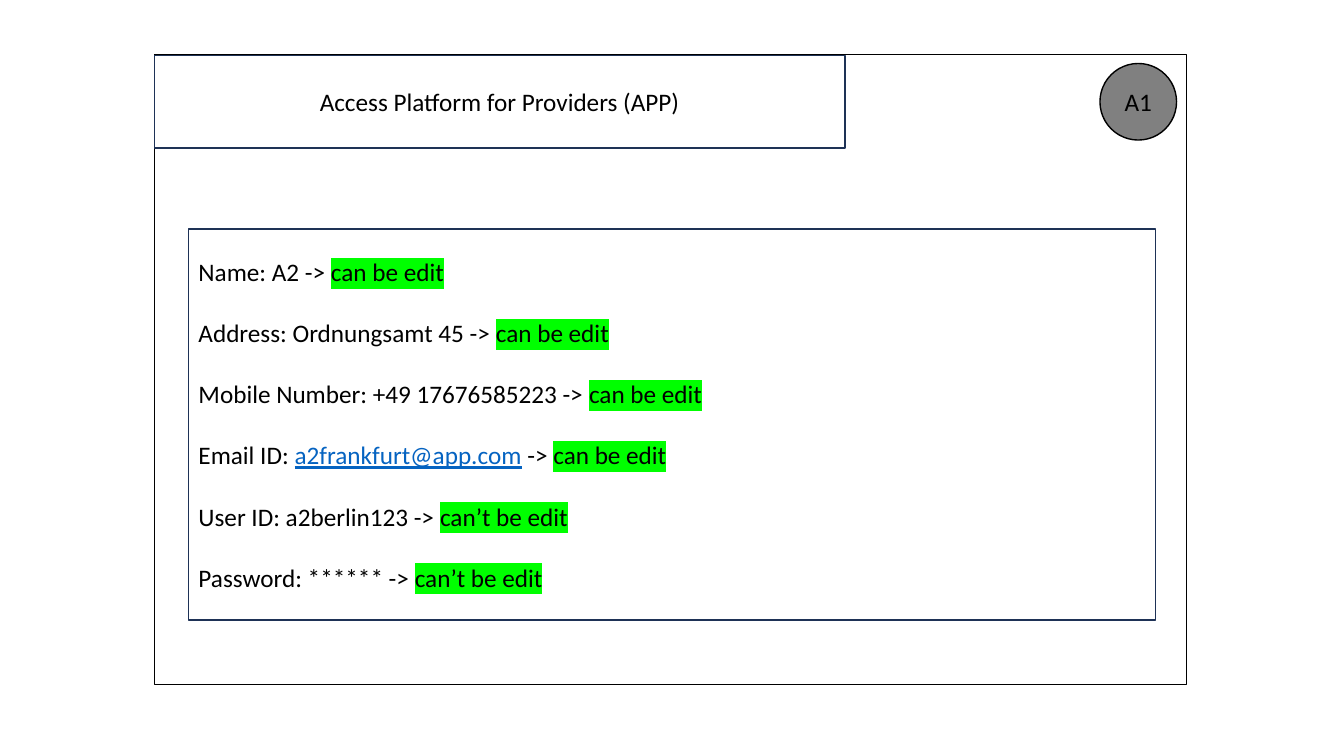
from lxml import etree
from pptx import Presentation
from pptx.dml.color import RGBColor
from pptx.enum.shapes import MSO_SHAPE
from pptx.enum.text import MSO_ANCHOR, PP_ALIGN
from pptx.oxml.ns import qn
from pptx.util import Inches, Pt

RECT, OVAL = MSO_SHAPE.RECTANGLE, MSO_SHAPE.OVAL
LEFT, CENTER = PP_ALIGN.LEFT, PP_ALIGN.CENTER
MIDDLE = MSO_ANCHOR.MIDDLE

BLACK = RGBColor(0, 0, 0)
NAVY = RGBColor(0x1E, 0x32, 0x56)
GRAY = RGBColor(0x80, 0x80, 0x80)
LINK_BLUE = RGBColor(0x05, 0x63, 0xC1)
GREEN = RGBColor(0, 0xFF, 0)

FONT, SIZE = "Calibri", Pt(18)
FIELD_GAP = Pt(22)

# label, value, whether the value looks like a link, edit right
FIELDS = [
    ("Name: ", "A2", False, "can be edit"),
    ("Address: ", "Ordnungsamt 45", False, "can be edit"),
    ("Mobile Number: ", "+49 17676585223", False, "can be edit"),
    ("Email ID: ", "a2frankfurt@app.com", True, "can be edit"),
    ("User ID: ", "a2berlin123", False, "can’t be edit"),
    ("Password: ", "******", False, "can’t be edit"),
]


def add_box(slide, kind, box, line, fill=None):
    sp = slide.shapes.add_shape(kind, *(Inches(v) for v in box))
    sp.shadow.inherit = False
    if fill is None:
        sp.fill.background()
    else:
        sp.fill.solid()
        sp.fill.fore_color.rgb = fill
    sp.line.color.rgb = line
    sp.line.width = Pt(1)
    tf = sp.text_frame
    tf.word_wrap = True
    tf.vertical_anchor = MIDDLE
    return tf


def add_run(p, text, color=BLACK, underline=None, highlight=None):
    r = p.add_run()
    r.text = text
    font = r.font
    font.name, font.size, font.underline = FONT, SIZE, underline
    font.color.rgb = color
    if highlight is not None:
        mark = etree.Element(qn("a:highlight"))
        etree.SubElement(mark, qn("a:srgbClr"), val=str(highlight))
        r._r.rPr.find(qn("a:solidFill")).addnext(mark)


def add_label(tf, text):
    p = tf.paragraphs[0]
    p.alignment = CENTER
    add_run(p, text)


def add_header(slide, left, top, width):
    """Title box on the left and the user badge on the right."""
    title = add_box(slide, RECT, (left, top + 0.01, 6.85, 0.92), NAVY)
    add_label(title, "Access Platform for Providers (APP)")
    badge, margin = 0.76, 0.1
    badge_box = (left + width - badge - margin, top + 0.09, badge, badge)
    add_label(add_box(slide, OVAL, badge_box, BLACK, GRAY), "A1")


def add_profile(slide, box):
    tf = add_box(slide, RECT, box, NAVY)
    for i, (label, value, is_link, right) in enumerate(FIELDS):
        p = tf.add_paragraph() if i else tf.paragraphs[0]
        p.alignment = LEFT
        p.space_before = FIELD_GAP if i else Pt(0)
        if is_link:
            add_run(p, label)
            add_run(p, value, LINK_BLUE, underline=True)
            add_run(p, " -> ")
        else:
            add_run(p, f"{label}{value} -> ")
        add_run(p, right, highlight=GREEN)


def add_account_page(slide, left, top, width, height):
    add_box(slide, RECT, (left, top, width, height), BLACK)
    add_header(slide, left, top, width)
    add_profile(slide, (left + 0.34, top + 1.73, width - 0.65, height - 2.37))


def main():
    prs = Presentation()
    prs.slide_width, prs.slide_height = Inches(13.33), Inches(7.5)
    slide = prs.slides.add_slide(prs.slide_layouts[6])
    add_account_page(slide, 1.53, 0.54, 10.24, 6.25)
    prs.save("out.pptx")


if __name__ == "__main__":
    main()
